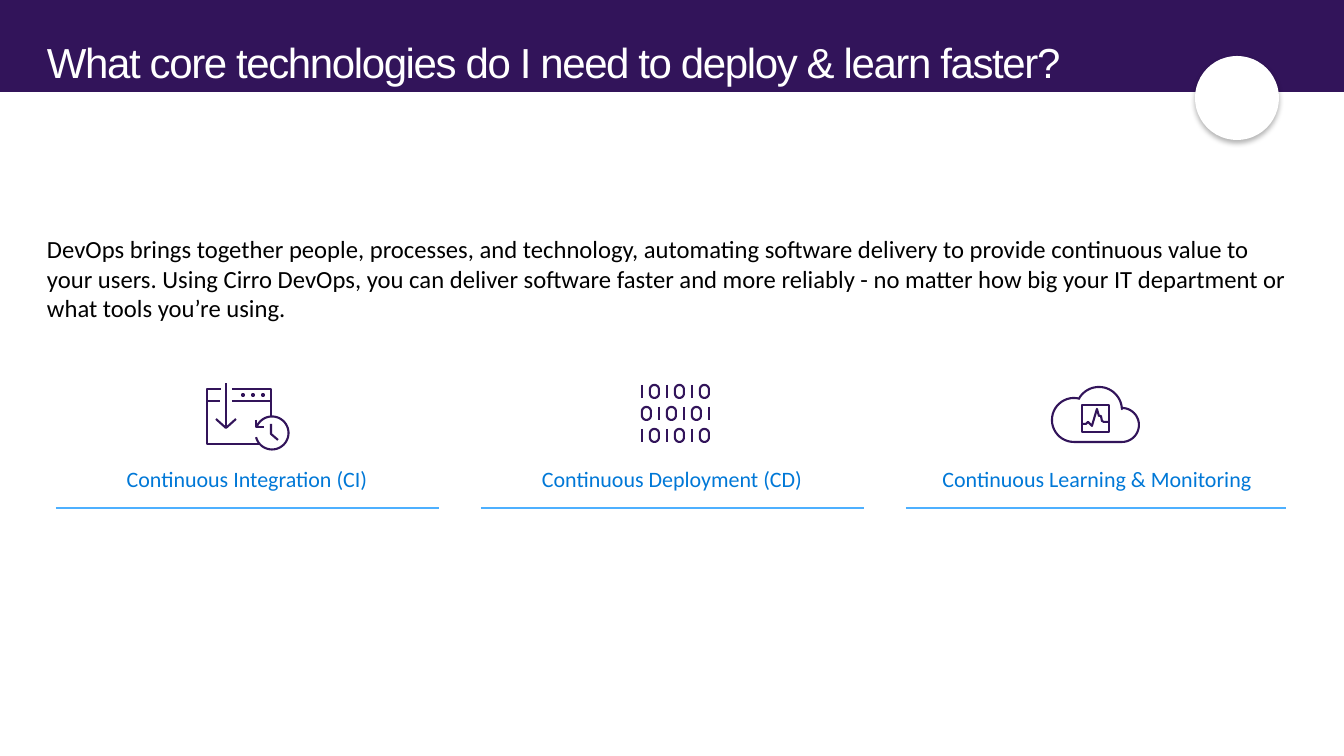
from math import cos, radians, sin

from lxml.etree import SubElement
from pptx import Presentation
from pptx.dml.color import RGBColor
from pptx.enum.shapes import MSO_CONNECTOR, MSO_SHAPE
from pptx.enum.text import MSO_ANCHOR, MSO_AUTO_SIZE, PP_ALIGN
from pptx.oxml.ns import qn
from pptx.util import Emu, Pt

SCALE = 914400 / 100.8
PURPLE, WHITE, BLACK = "32145A", "FFFFFF", "000000"
BLUE, SKY = "0078D7", "4DB0FF"


def px(n):
    return Emu(round(n * SCALE))


def rgb(code):
    return RGBColor.from_string(code)


def arc(x, y, rx, ry, start, end, steps=24):
    """Points on an ellipse, angles in degrees, clockwise on screen."""
    turns = [radians(start + (end - start) * i / steps) for i in range(steps + 1)]
    return [(x + rx * cos(t), y + ry * sin(t)) for t in turns]


class Board:
    font = "Calibri"
    pen = 1.5

    def __init__(self, slide):
        self.slide = slide
        self.shapes = slide.shapes

    def shape(self, kind, x, y, w, h, fill):
        item = self.shapes.add_shape(kind, px(x), px(y), px(w), px(h))
        item.shadow.inherit = False
        item.fill.solid()
        item.fill.fore_color.rgb = rgb(fill)
        item.line.fill.background()
        return item

    def shade(self, item):
        """Add a soft shadow below a shape."""
        effects = item._element.spPr.find(qn("a:effectLst"))
        outer = SubElement(effects, qn("a:outerShdw"), blurRad=str(Pt(4)),
                           dist=str(Pt(2)), dir="5400000", algn="t", rotWithShape="0")
        tint = SubElement(outer, qn("a:srgbClr"), val=BLACK)
        SubElement(tint, qn("a:alpha"), val="30000")

    def letter(self, item, text, size, color, align=PP_ALIGN.LEFT, font=None, top=0):
        """Put one styled paragraph into a shape."""
        frame = item.text_frame
        frame.word_wrap = True
        frame.auto_size = MSO_AUTO_SIZE.NONE
        frame.vertical_anchor = MSO_ANCHOR.TOP
        frame.margin_left = frame.margin_right = frame.margin_bottom = 0
        frame.margin_top = px(top)
        frame.text = text
        para = frame.paragraphs[0]
        para.alignment = align
        para.font.name = font or self.font
        para.font.size = Pt(size)
        para.font.color.rgb = rgb(color)
        return para

    def title(self, text, x, y, w, h):
        item = self.shapes.title
        self.shapes._spTree.append(item._element)
        item.left, item.top, item.width, item.height = map(px, (x, y, w, h))
        para = self.letter(item, text, 30, WHITE, font="Arial", top=18)
        para.line_spacing = 0.9
        para.runs[0]._r.get_or_add_rPr().set("spc", "-100")

    def text(self, text, x, y, w, h, size, color, align=PP_ALIGN.LEFT):
        item = self.shapes.add_textbox(px(x), px(y), px(w), px(h))
        self.letter(item, text, size, color, align)

    def rule(self, x, y, w):
        item = self.shapes.add_connector(
            MSO_CONNECTOR.STRAIGHT, px(x), px(y), px(x + w), px(y))
        item.line.color.rgb = rgb(SKY)
        item.line.width = Pt(1)
        SubElement(item._element.spPr, qn("a:effectLst"))

    def draw(self, lines=(), loops=(), fill=None):
        """Draw open lines and closed loops as one outline."""
        strokes = [(s, False) for s in lines] + [(s, True) for s in loops]
        pen = None
        for points, close in strokes:
            first, *rest = [(px(x), px(y)) for x, y in points]
            if pen is None:
                pen = self.shapes.build_freeform(*first)
            else:
                pen.move_to(*first)
            pen.add_line_segments(rest, close=close)
        item = pen.convert_to_shape()
        item.shadow.inherit = False
        if fill:
            item.fill.solid()
            item.fill.fore_color.rgb = rgb(fill)
        else:
            item.fill.background()
        item.line.color.rgb = rgb(PURPLE)
        item.line.width = Pt(self.pen)


def draw_build(board):
    """Window with a down arrow, and a clock."""
    board.draw(
        [
            [(232, 389), (271, 389), (271, 444), (207, 444), (207, 389), (221, 389)],
            [(232, 401), (271, 401)],
            [(207, 401), (220, 401)],
            [(216, 419), (226, 428), (236, 419)],
            [(226, 383), (226, 428)],
        ],
        [arc(x, 395, 1, 1, 0, 360, 8) for x in (243, 253, 263)],
        WHITE,
    )
    board.draw(
        [
            [(278, 440), (271, 434), (271, 424)],
            [(256, 420), (256, 427), (264, 427)],
            arc(272, 433, 16.5, 16.5, 165, -160, 48),
        ],
        fill=WHITE,
    )


def draw_bits(board):
    """Three rows of ones and zeros."""
    ones, zeros = [], []
    for row, bits in enumerate(("101010", "010101", "101010")):
        x, y = 642, 385 + 22 * row
        for bit in bits:
            if bit == "1":
                ones.append([(x, y), (x, y + 13)])
                x += 8
            else:
                zeros.append(arc(x + 4.5, y + 4.5, 4.5, 4.5, 180, 360, 12)
                             + arc(x + 4.5, y + 8.5, 4.5, 4.5, 0, 180, 12))
                x += 17
    board.draw(ones, zeros)


def draw_cloud(board):
    """Cloud with a pulse chart."""
    board.draw(loops=[arc(1074, 420, 22, 22, 90, 284) + arc(1099, 410, 23, 23, 209, 358)
                      + arc(1122, 425, 17, 17, -90, 90)])
    pulse = [(1109, 422), (1104, 422), (1102, 421), (1101, 416), (1099, 416),
             (1097, 409), (1092, 426), (1088, 422), (1086, 424), (1082, 424)]
    board.draw([pulse], [[(1082, 432), (1082, 405), (1109, 405), (1109, 432)]])


def main():
    deck = Presentation()
    deck.slide_width, deck.slide_height = px(1344), px(756)
    board = Board(deck.slides.add_slide(deck.slide_layouts[5]))

    board.shape(MSO_SHAPE.RECTANGLE, 0, 0, 1344, 92, PURPLE)
    board.shade(board.shape(MSO_SHAPE.OVAL, 1195, 56, 84, 84, WHITE))
    board.title("What core technologies do I need to deploy & learn faster?",
                47, 24, 1250, 82)
    board.text(
        "DevOps brings together people, processes, and technology, automating software "
        "delivery to provide continuous value to your users. Using Cirro DevOps, you can "
        "deliver software faster and more reliably - no matter how big your IT department "
        "or what tools you’re using.", 47, 234, 1250, 90, 17.6, BLACK)

    parts = (
        ("Continuous Integration (CI)", 383, draw_build),
        ("Continuous Deployment (CD)", 383, draw_bits),
        ("Continuous Learning & Monitoring", 380, draw_cloud),
    )
    for i, (label, width, icon) in enumerate(parts):
        shift = 425 * i
        board.text(label, 47 + shift, 466, 400, 59, 15.7, BLUE, PP_ALIGN.CENTER)
        board.rule(56 + shift, 508, width)
        icon(board)

    deck.save("out.pptx")


if __name__ == "__main__":
    main()
